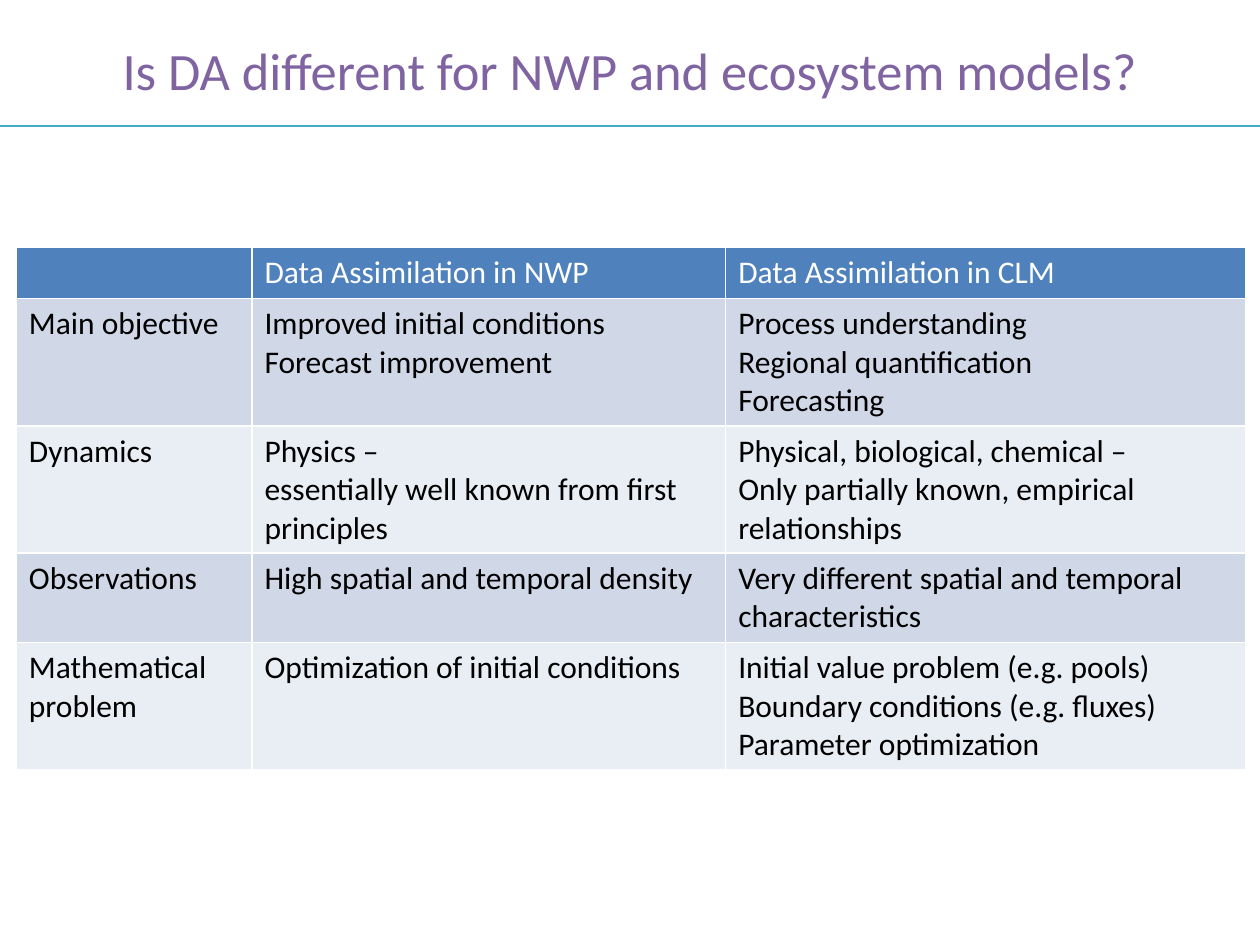
from lxml.etree import SubElement
from pptx import Presentation
from pptx.dml.color import RGBColor
from pptx.enum.shapes import MSO_CONNECTOR
from pptx.enum.text import MSO_ANCHOR, PP_ALIGN
from pptx.oxml.ns import qn
from pptx.util import Inches, Pt

COLORS = {
    "title": "8064A2",
    "rule": "46AAC5",
    "header": "4F81BD",
    "band_dark": "D0D8E8",
    "band_light": "E9EDF4",
    "header_text": "FFFFFF",
    "text": "000000",
}
FONT = "Calibri"
COLUMN_WIDTHS = [1.87, 3.76, 4.13]
ROW_HEIGHTS = [0.41, 1.01, 1.01, 0.71, 1.01]
ROWS = [
    ["", "Data Assimilation in NWP", "Data Assimilation in CLM"],
    ["Main objective",
     "Improved initial conditions Forecast improvement",
     "Process understanding\nRegional quantification\nForecasting"],
    ["Dynamics",
     "Physics –\nessentially well known from first principles",
     "Physical, biological, chemical –\nOnly partially known, empirical relationships"],
    ["Observations",
     "High spatial and temporal density",
     "Very different spatial and temporal characteristics"],
    ["Mathematical problem",
     "Optimization of initial conditions",
     "Initial value problem (e.g. pools)\nBoundary conditions (e.g. fluxes)\nParameter optimization"],
]


def color(name):
    """Return the named palette colour."""
    return RGBColor.from_string(COLORS[name])


def format_text(tf, size, color_name):
    """Apply font, size and colour to every run of a text frame."""
    for p in tf.paragraphs:
        for r in p.runs:
            r.font.name = FONT
            r.font.size = Pt(size)
            r.font.bold = False
            r.font.color.rgb = color(color_name)


def add_rule(s):
    """Draw the thin line under the title."""
    line = s.shapes.add_connector(
        MSO_CONNECTOR.STRAIGHT, Inches(0), Inches(1), Inches(10), Inches(1))
    line.line.color.rgb = color("rule")
    line.line.width = Pt(0.75)
    SubElement(line._element.spPr, qn("a:effectLst"))


def add_title(s, text):
    """Add the centred slide title."""
    sp = s.shapes.add_textbox(Inches(0.5), Inches(0), Inches(9), Inches(0.85))
    tf = sp.text_frame
    tf.word_wrap = True
    tf.vertical_anchor = MSO_ANCHOR.BOTTOM
    tf.text = text
    tf.paragraphs[0].alignment = PP_ALIGN.CENTER
    format_text(tf, 30, "title")


def add_comparison_table(s):
    """Add the comparison table with a header and alternating bands."""
    table = s.shapes.add_table(
        len(ROWS), len(COLUMN_WIDTHS), Inches(0.13), Inches(1.96),
        Inches(sum(COLUMN_WIDTHS)), Inches(sum(ROW_HEIGHTS))).table
    for column, width in zip(table.columns, COLUMN_WIDTHS):
        column.width = Inches(width)
    for i, (row, height) in enumerate(zip(table.rows, ROW_HEIGHTS)):
        row.height = Inches(height)
        band = "band_dark" if i % 2 else "band_light"
        for cell, text in zip(row.cells, ROWS[i]):
            cell.fill.solid()
            cell.fill.fore_color.rgb = color(band if i else "header")
            cell.text_frame.text = text
            format_text(cell.text_frame, 18, "text" if i else "header_text")


def main():
    """Build and save the slide."""
    prs = Presentation()
    prs.slide_width, prs.slide_height = Inches(10), Inches(7.5)
    s = prs.slides.add_slide(prs.slide_layouts[6])
    add_rule(s)
    add_title(s, "Is DA different for NWP and ecosystem models?")
    add_comparison_table(s)
    prs.save("out.pptx")


if __name__ == "__main__":
    main()
